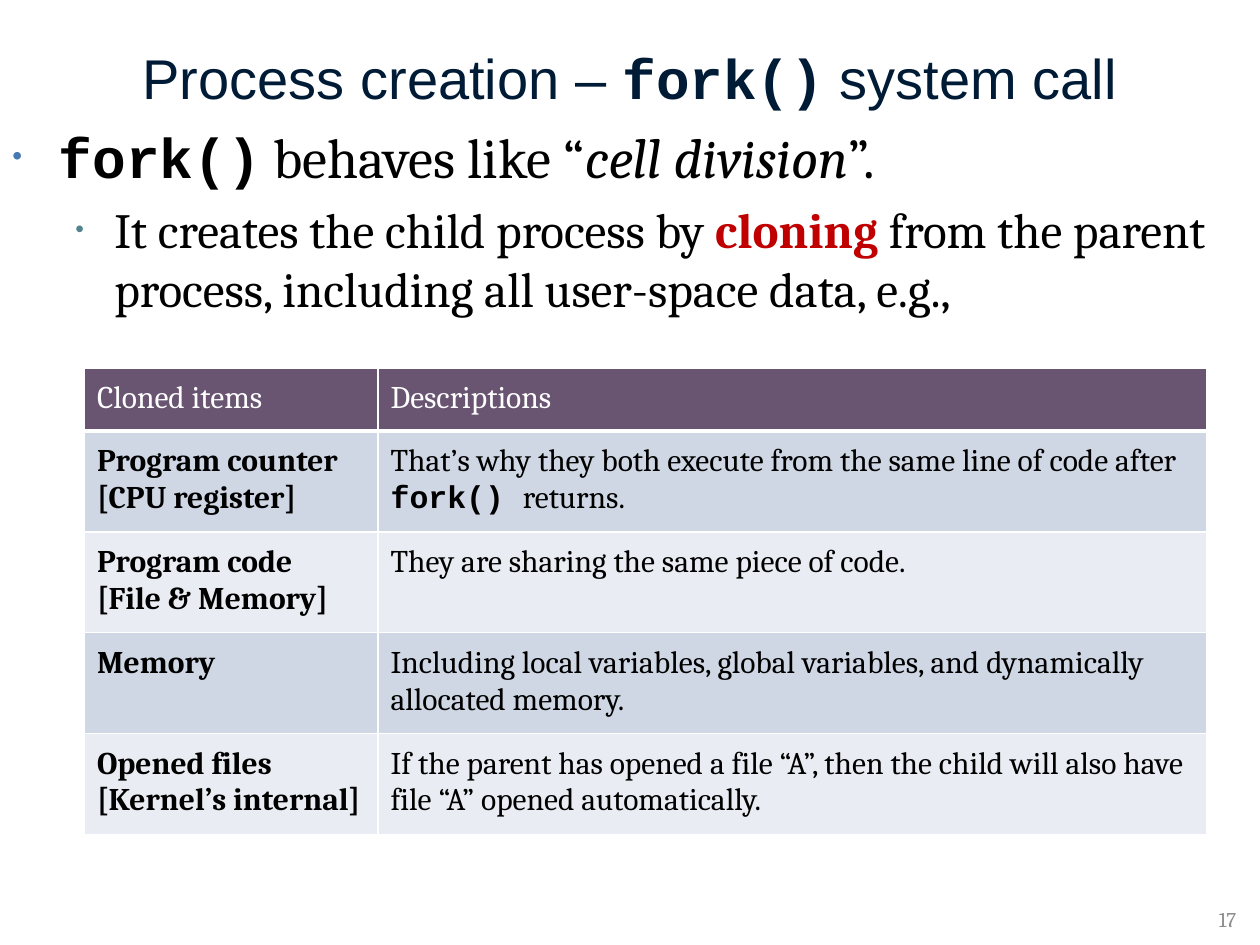
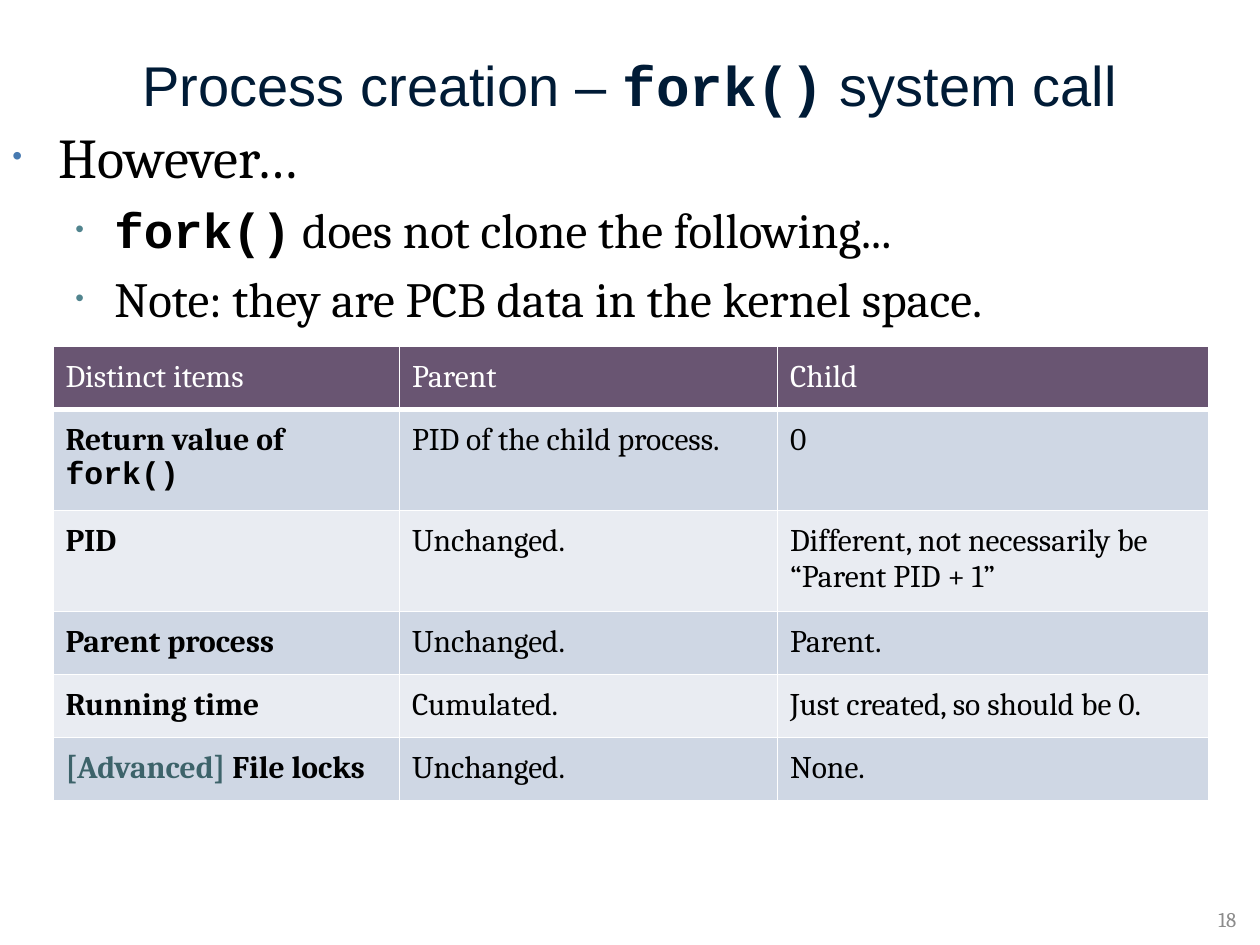
from lxml import etree
from pptx import Presentation
from pptx.dml.color import RGBColor
from pptx.enum.text import MSO_ANCHOR as ANCHOR, PP_ALIGN as ALIGN
from pptx.oxml.ns import qn
from pptx.util import Inches, Pt

SERIF, SANS, MONO = "Cambria", "Arial", "Courier New"
NAVY, BLACK, WHITE, GREY = "001B36", "000000", "FFFFFF", "8C8C8C"
RED, TEAL = "C00000", "3D636A"
HEADER_FILL, BAND_FILLS = "695572", ("CFD7E4", "E9ECF2")
# Per outline level: text size, left indent, hanging indent, bullet colour
LEVELS = ((32.1, 0.37, 0.37, "477AB1"), (28.1, 0.81, 0.31, "51848E"))
ONE_LINE, TWO_LINES = 0.49, 0.78

FORK = ("fork()", {"name": MONO, "bold": True})
TITLE = ["Process creation – ", FORK, " system call"]


def rgb(value):
    return RGBColor.from_string(value)


def add_runs(p, runs, **base):
    """Each run is a string, or a (string, font changes) pair."""
    for run in [runs] if isinstance(runs, str) else runs:
        text, changes = (run, {}) if isinstance(run, str) else run
        r = p.add_run()
        r.text = text
        fmt = {"bold": False, "name": SERIF, "color": BLACK, **base, **changes}
        r.font.color.rgb = rgb(fmt.pop("color"))
        r.font.size = Pt(fmt.pop("size"))
        for key, value in fmt.items():
            setattr(r.font, key, value)


def add_box(slide, box, anchor):
    tf = slide.shapes.add_textbox(*map(Inches, box)).text_frame
    tf.word_wrap = True
    tf.vertical_anchor = anchor
    return tf


def add_line(slide, box, runs, align, **base):
    p = add_box(slide, box, ANCHOR.MIDDLE).paragraphs[0]
    p.alignment = align
    add_runs(p, runs, **base)


def set_bullet(p, left, hanging, color):
    pPr = p._p.get_or_add_pPr()
    pPr.set("marL", str(Inches(left)))
    pPr.set("indent", str(-Inches(hanging)))
    bu_color = etree.SubElement(pPr, qn("a:buClr"))
    etree.SubElement(bu_color, qn("a:srgbClr"), val=color)
    etree.SubElement(pPr, qn("a:buSzPct"), val="50000")
    etree.SubElement(pPr, qn("a:buFont"), typeface=SANS)
    etree.SubElement(pPr, qn("a:buChar"), char="•")


def add_outline(slide, box, items):
    tf = add_box(slide, box, ANCHOR.TOP)
    for i, (level, runs) in enumerate(items):
        p = tf.add_paragraph() if i else tf.paragraphs[0]
        size, left, hanging, color = LEVELS[level]
        p.level = level
        p.space_before = Pt(0.2 * size)
        set_bullet(p, left, hanging, color)
        add_runs(p, runs, size=size)


def set_borders(cell, bottom):
    tcPr = cell._tc.get_or_add_tcPr()
    for side, width in (("L", 1), ("R", 1), ("T", 1), ("B", bottom)):
        ln = etree.SubElement(tcPr, qn(f"a:ln{side}"), w=str(Pt(width)))
        fill = etree.SubElement(ln, qn("a:solidFill"))
        etree.SubElement(fill, qn("a:srgbClr"), val=WHITE)


def fill_cell(cell, paragraphs, is_header, bold, fill):
    for side in ("left", "right", "top", "bottom"):
        setattr(cell, f"margin_{side}", Inches(0.1))
    set_borders(cell, 3 if is_header else 1)
    cell.fill.solid()
    cell.fill.fore_color.rgb = rgb(fill)
    tf = cell.text_frame
    for i, runs in enumerate(paragraphs):
        p = tf.add_paragraph() if i else tf.paragraphs[0]
        add_runs(p, runs, size=18, bold=bold, color=WHITE if is_header else BLACK)


def add_grid(slide, left, top, widths, rows):
    """Each row is its height, then one list of paragraphs per cell."""
    heights = [row[0] for row in rows]
    box = left, top, sum(widths), sum(heights)
    table = slide.shapes.add_table(len(rows), len(widths), *map(Inches, box)).table
    for column, width in zip(table.columns, widths):
        column.width = Inches(width)
    for i, (height, *cells) in enumerate(rows):
        table.rows[i].height = Inches(height)
        fill = BAND_FILLS[(i - 1) % 2] if i else HEADER_FILL
        for j, paragraphs in enumerate(cells):
            fill_cell(table.cell(i, j), paragraphs, i == 0, i > 0 and j == 0, fill)


def add_page(prs, number, title_height, body_height, outline, grid):
    slide = prs.slides.add_slide(prs.slide_layouts[6])
    add_line(slide, (0.5, 0.3, 9, title_height), TITLE, ALIGN.CENTER,
             size=32, name=SANS, color=NAVY)
    add_outline(slide, (0, 0.92, 10, body_height), outline)
    add_line(slide, (7.58, 7.17, 2.33, 0.25), str(number), ALIGN.RIGHT,
             size=12, color=GREY)
    add_grid(slide, *grid)


CLONED_OUTLINE = [
    (0, [FORK, " behaves like “", ("cell division", {"italic": True}), "”."]),
    (1, ["It creates the child process by ",
         ("cloning", {"bold": True, "color": RED}),
         " from the parent process, including all user-space data, e.g.,"]),
]
CLONED_ROWS = [
    (ONE_LINE, ["Cloned items"], ["Descriptions"]),
    (TWO_LINES, ["Program counter", "[CPU register]"],
     [["That’s why they both execute from the same line of code after ",
       ("fork() ", FORK[1]), "returns."]]),
    (TWO_LINES, ["Program code", "[File & Memory]"],
     ["They are sharing the same piece of code."]),
    (TWO_LINES, ["Memory"],
     ["Including local variables, global variables, and dynamically "
      "allocated memory."]),
    (TWO_LINES, ["Opened files", "[Kernel’s internal]"],
     ["If the parent has opened a file “A”, then the child will also have "
      "file “A” opened automatically."]),
]

DISTINCT_OUTLINE = [
    (0, "However…"),
    (1, [FORK, " does not clone the following..."]),
    (1, "Note: they are PCB data in the kernel space."),
]
DISTINCT_ROWS = [
    (ONE_LINE, ["Distinct items"], ["Parent"], ["Child"]),
    (TWO_LINES, [["Return value of ", FORK]], ["PID of the child process."], ["0"]),
    (TWO_LINES, ["PID"], ["Unchanged."],
     ["Different, not necessarily be “Parent PID + 1”"]),
    (ONE_LINE, ["Parent process"], ["Unchanged."], ["Parent."]),
    (ONE_LINE, ["Running time"], ["Cumulated."], ["Just created, so should be 0."]),
    (ONE_LINE, [[("[Advanced] ", {"color": TEAL}), "File locks"]],
     ["Unchanged."], ["None."]),
]


def main():
    prs = Presentation()
    prs.slide_width, prs.slide_height = Inches(10), Inches(7.5)
    add_page(prs, 17, 0.62, 2, CLONED_OUTLINE,
             (0.67, 2.92, (2.33, 6.58), CLONED_ROWS))
    add_page(prs, 18, 0.73, 6.17, DISTINCT_OUTLINE,
             (0.42, 2.75, (2.75, 3, 3.42), DISTINCT_ROWS))
    prs.save("out.pptx")


if __name__ == "__main__":
    main()
